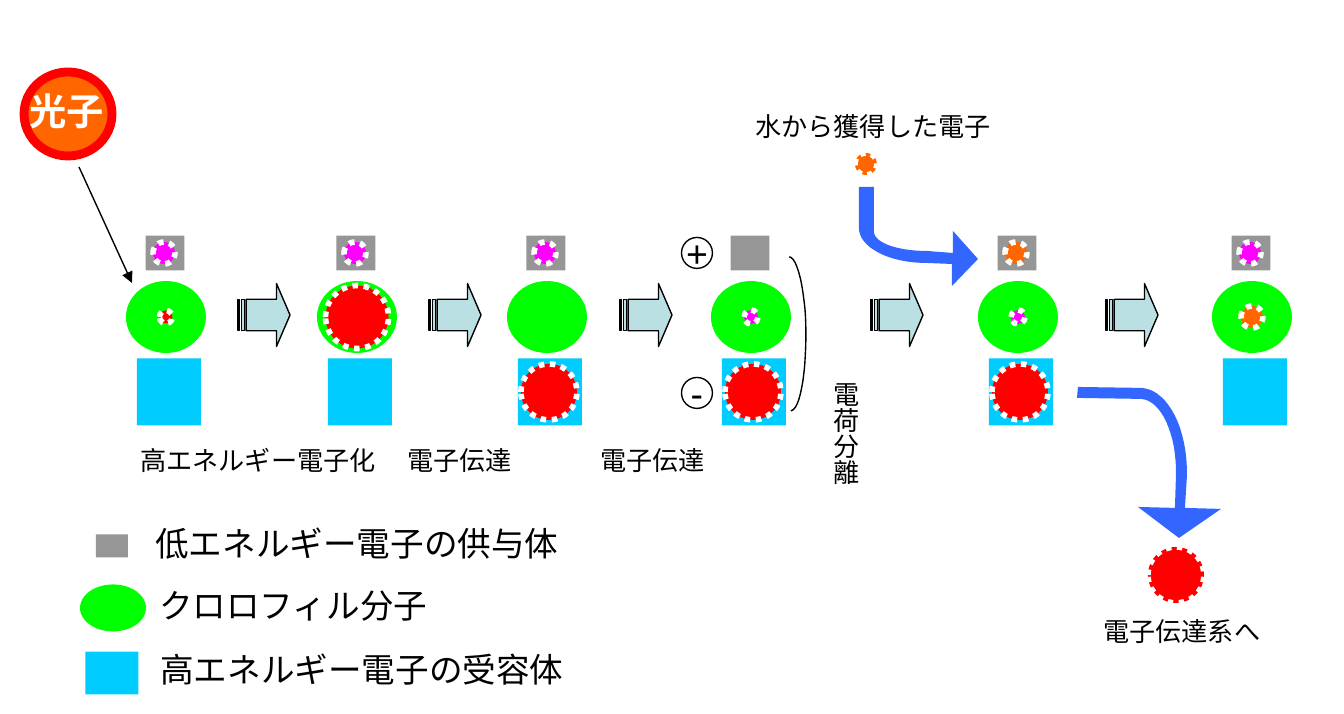
"""Build a slide showing electron transfer after a photon hits chlorophyll."""
from lxml import etree
from pptx import Presentation
from pptx import util as u
from pptx.dml.color import RGBColor
from pptx.enum import dml, shapes, text
from pptx.oxml.ns import qn

PX = 914400 / 134.4
FINE = 10
KIND = shapes.MSO_SHAPE
GREY, GREEN, CYAN = "969696", "00FF00", "00CCFF"
RED, PINK, ORANGE = "FF0000", "FF00FF", "FF6600"
BLUE, PALE, BLACK, WHITE = "3366FF", "BBE0E3", "000000", "FFFFFF"

PARTS = {
    "donor": (KIND.RECTANGLE, GREY),
    "pigment": (KIND.OVAL, GREEN),
    "taker": (KIND.RECTANGLE, CYAN),
}
SLOTS = {
    "taker": (3, 392, 64, 67, 2),
    "pigment": (0, 317, 80, 72, 0),
    "donor": (-1, 253, 39, 35, -2),
}
STAGES = [
    (166, [("pigment", 13, RED), ("donor", 22, PINK)]),
    (357, [("pigment", 63, RED), ("donor", 22, PINK)]),
    (547, [("taker", 56, RED), ("donor", 22, PINK)]),
    (751, [("taker", 56, RED), ("pigment", 14, PINK)]),
    (1018, [("taker", 56, RED), ("pigment", 14, PINK), ("donor", 22, ORANGE)]),
    (1252, [("pigment", 22, ORANGE), ("donor", 22, PINK)]),
]
FREE = [(866, 164, 22, ORANGE), (1176, 575, 56, RED)]
STEPS = [238, 429, 620, 871, 1106]
LEGEND = [
    ("donor", 112, 546, 32, 23, "低エネルギー電子の供与体", 142, 516, 493),
    ("pigment", 113, 608, 66, 47, "クロロフィル分子", 146, 578, 349),
    ("taker", 112, 673, 53, 43, "高エネルギー電子の受容体", 147, 642, 462),
]
LABELS = [
    ("高エネルギー電子化", 127, 438, 281),
    ("電子伝達", 394, 438, 169),
    ("電子伝達", 587, 438, 159),
    ("水から獲得した電子", 742, 104, 302),
    ("電子伝達系へ", 1090, 609, 196),
]
CHARGES = [("+", 253), ("-", 393)]
INFLOW = [
    (859, 187), (859, 228), (859, 247, 888, 263, 927, 263), (952, 264),
    (952, 286), (978, 259), (953, 231), (953, 253), (927, 251),
    (896, 251, 872, 242, 874, 230), (874, 187),
]
OUTFLOW = [
    (1078, 387), (1142, 388), (1168, 390, 1188, 429, 1187, 476), (1185, 508),
    (1221, 509), (1179, 538), (1138, 507), (1175, 508), (1176, 476),
    (1177, 434, 1161, 400, 1141, 399), (1077, 398),
]
BRACKET = [
    (789, 257), (796, 257, 802, 278, 805, 309),
    (808, 345, 804, 408, 791, 411),
]


def emu(*vals):
    return [u.Emu(round(v * PX)) for v in vals]


def tint(code):
    return RGBColor.from_string(code)


def paint(item, fill=None, edge=None, width=0.75, dash=None):
    item.shadow.inherit = False
    if fill:
        item.fill.solid()
        item.fill.fore_color.rgb = tint(fill)
    else:
        item.fill.background()
    if edge:
        item.line.color.rgb = tint(edge)
        item.line.width = u.Pt(width)
        if dash:
            item.line.dash_style = dash
    else:
        item.line.fill.background()
    return item


def put(kind, cx, cy, w, h, **look):
    box = emu(cx - w / 2, cy - h / 2, w, h)
    return paint(tree.add_shape(kind, *box), **look)


def spot(cx, cy, size, fill):
    put(KIND.OVAL, cx, cy, size, size, fill=fill, edge=WHITE, width=3,
        dash=dml.MSO_LINE.ROUND_DOT)


def write(frame, words, size, color=BLACK, bold=False):
    para = frame.paragraphs[0]
    para.text = words
    form = {"name": "Arial", "size": u.Pt(size), "bold": bold}
    for key, val in form.items():
        setattr(para.font, key, val)
    para.font.color.rgb = tint(color)
    return para


def label(words, x, y, w, h, size, **look):
    frame = tree.add_textbox(*emu(x, y, w, h)).text_frame
    frame.word_wrap = True
    write(frame, words, size, **look)
    return frame


def trace(path):
    dots = [path[0]]
    for part in path[1:]:
        if len(part) == 2:
            dots.append(part)
            continue
        pts = [dots[-1], part[:2], part[2:4], part[4:]]
        for n in range(1, 17):
            t = n / 16
            mix = ((1 - t) ** 3, 3 * t * (1 - t) ** 2, 3 * t * t * (1 - t), t ** 3)
            dots.append(tuple(sum(m * p[k] for m, p in zip(mix, pts)) for k in (0, 1)))
    return [(x * FINE, y * FINE) for x, y in dots]


def draw(path, close, **look):
    dots = trace(path)
    pen = tree.build_freeform(*dots[0], scale=PX / FINE)
    pen.add_line_segments(dots[1:], close=close)
    paint(pen.convert_to_shape(), **look)


deck = Presentation()
deck.slide_width, deck.slide_height = emu(1344, 714)
tree = deck.slides.add_slide(deck.slide_layouts[6]).shapes

for part, cx, cy, w, h, words, x, y, span in LEGEND:
    kind, fill = PARTS[part]
    put(kind, cx, cy, w, h, fill=fill)
    label(words, x, y, span, 54, 18)

for mid, spots in STAGES:
    for part, (dx, cy, w, h, _) in SLOTS.items():
        kind, fill = PARTS[part]
        put(kind, mid + dx, cy, w, h, fill=fill)
    for part, size, fill in spots:
        spot(mid + SLOTS[part][4], SLOTS[part][1], size, fill)

for dot in FREE:
    spot(*dot)

for x in STEPS:
    step = put(KIND.STRIPED_RIGHT_ARROW, x + 26, 315, 52, 63, fill=PALE, edge=BLACK)
    step.adjustments[0], step.adjustments[1] = 0.5, 0.26

draw(BRACKET, False, edge=BLACK)
draw(INFLOW, True, fill=BLUE)
draw(OUTFLOW, True, fill=BLUE)

for words, x, y, w in LABELS:
    label(words, x, y, w, 46, 14)

side = label("電荷分離", 810, 368, 58, 137, 14)
side._txBody.bodyPr.set("vert", "eaVert")
for edge, gap in {"left": 7, "right": 7, "top": 13, "bottom": 13}.items():
    setattr(side, "margin_" + edge, emu(gap)[0])

for sign, cy in CHARGES:
    frame = put(KIND.OVAL, 697, cy, 31, 31, edge=BLACK).text_frame
    frame.word_wrap = False
    frame.vertical_anchor = text.MSO_ANCHOR.MIDDLE
    write(frame, sign, 20).alignment = text.PP_ALIGN.CENTER

put(KIND.OVAL, 68, 114, 88, 84, fill=ORANGE, edge=RED, width=4.75)
label("光子", 16, 82, 112, 59, 20, color=WHITE, bold=True)

ray = tree.add_connector(shapes.MSO_CONNECTOR.STRAIGHT, *emu(79, 167, 132, 283))
ray.line.color.rgb = tint(BLACK)
ray.line.width = u.Pt(0.75)
etree.SubElement(ray.line._get_or_add_ln(), qn("a:tailEnd"), type="triangle")
etree.SubElement(ray._element.spPr, qn("a:effectLst"))

deck.save("out.pptx")
